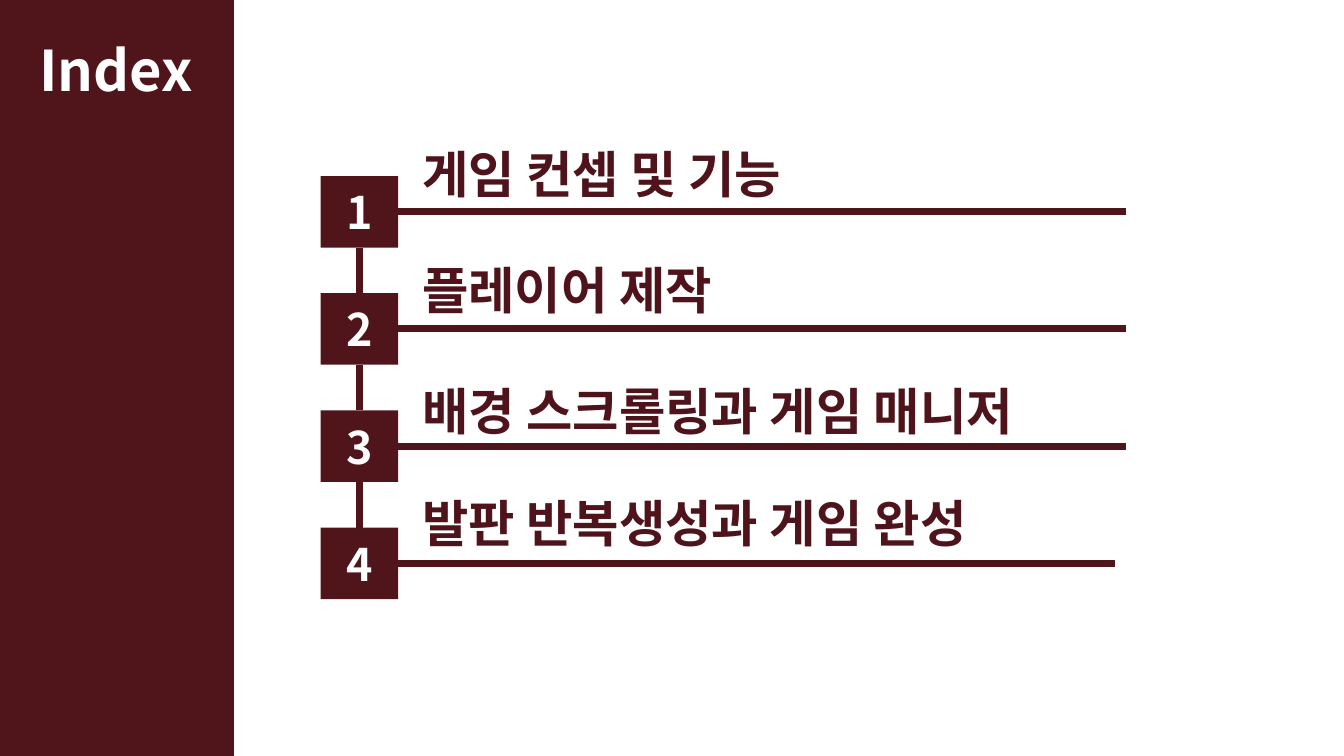
"""Build an index slide with four numbered chapters beside a dark sidebar."""
from dataclasses import dataclass

import lxml.etree
import pptx
import pptx.dml.color
import pptx.enum.shapes
import pptx.enum.text
import pptx.oxml.ns
import pptx.util

COLS, ROWS = 133.33, 75
FONT = "Noto Sans CJK KR"
WINE, TITLE_WINE, WHITE = "50141B", "4F141B", "FFFFFF"
BOX_LEFT, BOX_TOP, BOX_W, BOX_H, PITCH = 31.8, 17.46, 7.7, 7.1, 11.63
TEXT_LEFT, TEXT_H = 40.9, 7.1

prs = pptx.Presentation()
prs.slide_width = pptx.util.Inches(13.33)
prs.slide_height = pptx.util.Inches(7.5)


@dataclass
class Chapter:
    """One index entry, with its text top and width and the end of its rule."""
    text: str
    top: float
    width: float
    rule_end: float = 111.7


CHAPTERS = [
    Chapter("게임 컨셉 및 기능", 13.7, 76.8),
    Chapter("플레이어 제작", 25.2, 76.8),
    Chapter("배경 스크롤링과 게임 매니저", 37.2, 88.2),
    Chapter("발판 반복생성과 게임 완성", 48.3, 73.6, 110.6),
]


def x(cols: float) -> int:
    """Convert grid columns to a slide length."""
    return round(prs.slide_width * cols / COLS)


def y(rows: float) -> int:
    """Convert grid rows to a slide length."""
    return round(prs.slide_height * rows / ROWS)


def rgb(value: str) -> pptx.dml.color.RGBColor:
    """Turn a hex string into a colour."""
    return pptx.dml.color.RGBColor.from_string(value)


def write(sp, text: str, size: float, color: str, centred: bool = False) -> None:
    """Write one bold line into a shape."""
    tf = sp.text_frame
    tf.word_wrap = True
    if centred:
        tf.vertical_anchor = pptx.enum.text.MSO_ANCHOR.MIDDLE
    else:
        tf.vertical_anchor = pptx.enum.text.MSO_ANCHOR.TOP
        tf.auto_size = pptx.enum.text.MSO_AUTO_SIZE.SHAPE_TO_FIT_TEXT
    p = tf.paragraphs[0]
    align = pptx.enum.text.PP_ALIGN
    p.alignment = align.CENTER if centred else align.LEFT
    r = p.add_run()
    r.text = text
    r.font.name = FONT
    r.font.size = pptx.util.Pt(size)
    r.font.bold = True
    r.font.color.rgb = rgb(color)
    for latin in sp.element.iter(pptx.oxml.ns.qn("a:latin")):
        ea = lxml.etree.Element(pptx.oxml.ns.qn("a:ea"), typeface=FONT)
        latin.addnext(ea)


def add_block(s, left: float, top: float, width: float, height: float):
    """Add a plain filled rectangle."""
    sp = s.shapes.add_shape(pptx.enum.shapes.MSO_SHAPE.RECTANGLE,
                            x(left), y(top), x(width), y(height))
    sp.shadow.inherit = False
    sp.fill.solid()
    sp.fill.fore_color.rgb = rgb(WINE)
    sp.line.fill.background()
    return sp


def add_line(s, x1: float, y1: float, x2: float, y2: float):
    """Add a thick straight connector."""
    line = s.shapes.add_connector(pptx.enum.shapes.MSO_CONNECTOR.STRAIGHT,
                                  x(x1), y(y1), x(x2), y(y2))
    line.line.color.rgb = rgb(WINE)
    line.line.width = pptx.util.Pt(5)
    lxml.etree.SubElement(line.element.spPr, pptx.oxml.ns.qn("a:effectLst"))
    return line


def add_chapter(s, index: int, chapter: Chapter):
    """Add a numbered box, its rule and its heading, and return the box."""
    top = BOX_TOP + index * PITCH
    middle = top + BOX_H / 2
    box = add_block(s, BOX_LEFT, top, BOX_W, BOX_H)
    write(box, str(index + 1), 32, WHITE, centred=True)
    rule = add_line(s, BOX_LEFT + BOX_W, middle, chapter.rule_end, middle)
    rule.begin_connect(box, 3)
    heading = s.shapes.add_textbox(x(TEXT_LEFT), y(chapter.top),
                                   x(chapter.width), y(TEXT_H))
    write(heading, chapter.text, 36, TITLE_WINE)
    return box


def main() -> None:
    """Build and save the slide."""
    s = prs.slides.add_slide(prs.slide_layouts[5])
    title = s.shapes.title
    title.left, title.top = x(2.9), y(3)
    title.width, title.height = x(18.4), y(7.7)
    write(title, "Index", 40, WHITE)
    sidebar = add_block(s, 0, 0, 23.2, ROWS)
    title.element.addprevious(sidebar.element)

    boxes = [add_chapter(s, i, chapter) for i, chapter in enumerate(CHAPTERS)]
    centre = BOX_LEFT + BOX_W / 2
    for i, (upper, lower) in enumerate(zip(boxes, boxes[1:])):
        bottom = BOX_TOP + i * PITCH + BOX_H
        link = add_line(s, centre, bottom, centre, bottom + PITCH - BOX_H)
        link.begin_connect(upper, 2)
        link.end_connect(lower, 0)
    prs.save("out.pptx")


if __name__ == "__main__":
    main()
